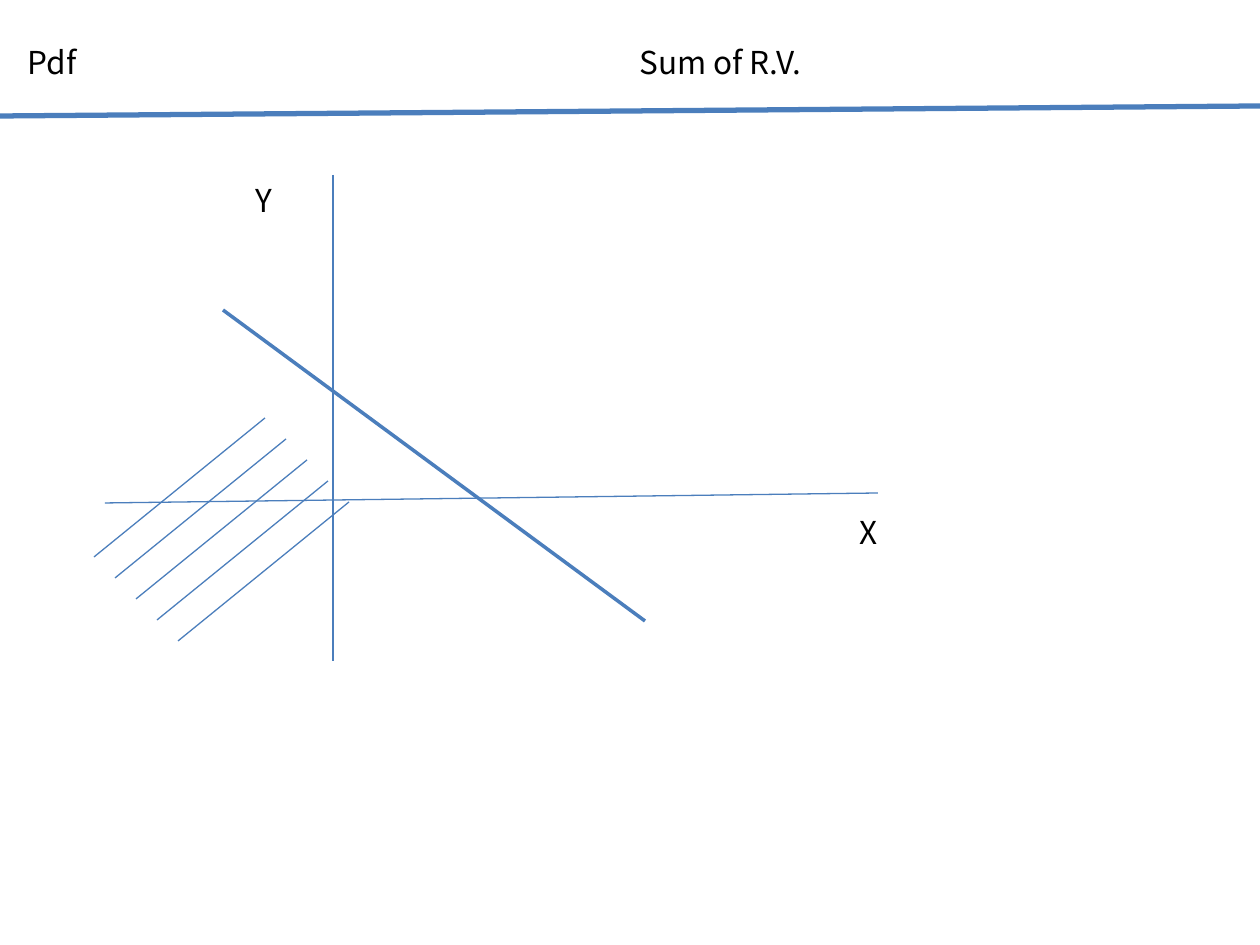
import lxml.etree
import pptx
import pptx.dml.color
import pptx.enum.shapes
import pptx.enum.text
import pptx.oxml.ns
import pptx.util

PX = 914400 // 126
FONT = "Noto Sans CJK KR"
BLUE = "4B7EBC"
BLACK = "000000"


def color(hex_string):
    return pptx.dml.color.RGBColor.from_string(hex_string)


def add_line(start, end, width):
    """Draw a straight blue line between two points in px, without a shadow."""
    line = slide.shapes.add_connector(
        pptx.enum.shapes.MSO_CONNECTOR.STRAIGHT,
        *(value * PX for value in (*start, *end)))
    line.line.color.rgb = color(BLUE)
    line.line.width = pptx.util.Pt(width)
    lxml.etree.SubElement(line._element.spPr, pptx.oxml.ns.qn("a:effectLst"))


presentation = pptx.Presentation()
presentation.slide_width = 1260 * PX
presentation.slide_height = 945 * PX
slide = presentation.slides.add_slide(presentation.slide_layouts[5])

# Header rule, axes and boundary line
add_line((0, 116), (1260, 106), 3)
add_line((333, 175), (333, 661), 0.75)
add_line((105, 503), (878, 493), 0.75)
add_line((223, 310), (645, 621), 2)

# Hatching below the boundary line
for step in range(5):
    offset = 21 * step
    add_line((265 + offset, 418 + offset), (94 + offset, 557 + offset), 0.75)

title = slide.shapes.title
x_label = slide.shapes.add_textbox(0, 0, 0, 0)
y_label = slide.shapes.add_textbox(0, 0, 0, 0)
texts = [
    (title, "Pdf\tSum of R.V.", (15, 37, 1181, 50), True),
    (x_label, "X", (847, 507, 44, 50), False),
    (y_label, "Y", (243, 175, 43, 50), False),
]
font_format = {"name": FONT, "size": pptx.util.Pt(18), "bold": False}
for shape, text, box, wrap in texts:
    shape.left, shape.top, shape.width, shape.height = (value * PX for value in box)
    frame = shape.text_frame
    frame.text = text
    frame.word_wrap = wrap
    frame.auto_size = pptx.enum.text.MSO_AUTO_SIZE.NONE
    frame.vertical_anchor = pptx.enum.text.MSO_ANCHOR.TOP
    paragraph = frame.paragraphs[0]
    paragraph.alignment = pptx.enum.text.PP_ALIGN.LEFT
    for run in paragraph.runs:
        for attribute, value in font_format.items():
            setattr(run.font, attribute, value)
        run.font.color.rgb = color(BLACK)

# The second heading starts at a tab stop
properties = title.text_frame.paragraphs[0]._p.get_or_add_pPr()
tabs = lxml.etree.SubElement(properties, pptx.oxml.ns.qn("a:tabLst"))
lxml.etree.SubElement(tabs, pptx.oxml.ns.qn("a:tab"), pos=str(612 * PX), algn="l")

presentation.save("out.pptx")
